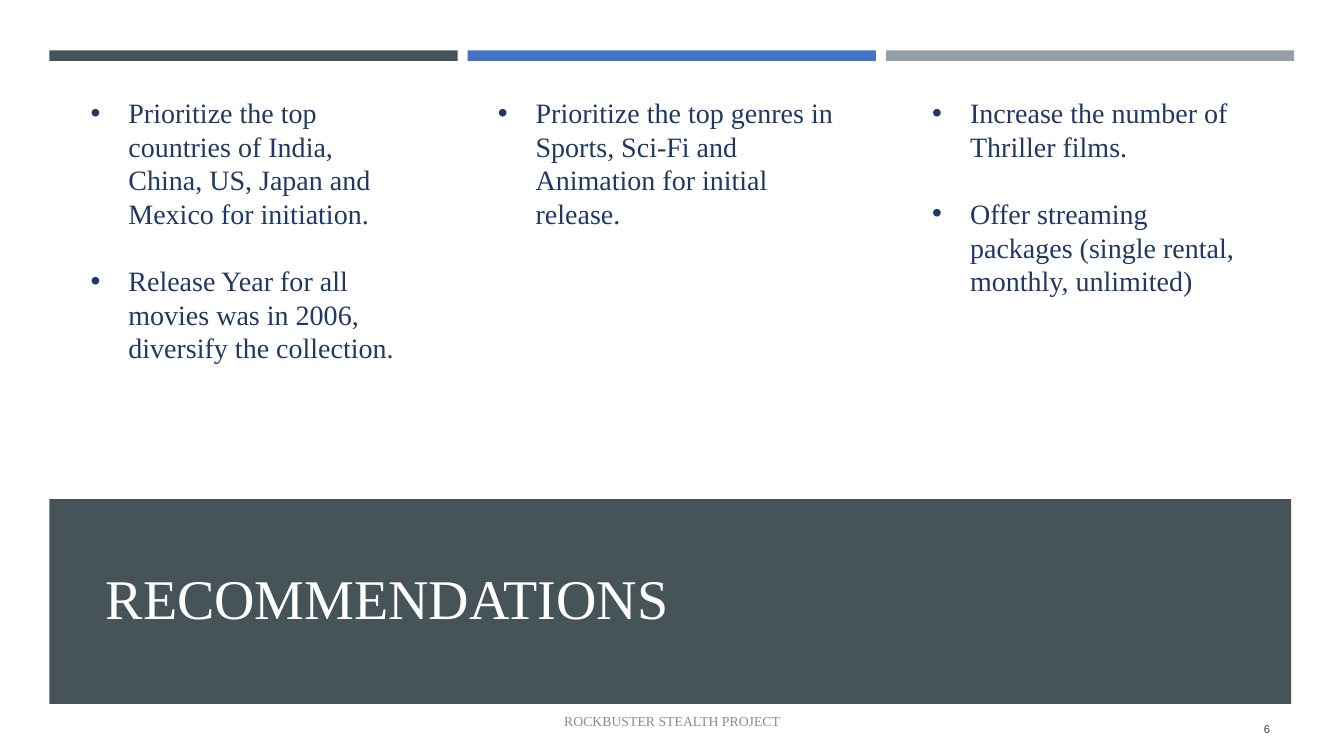
from lxml import etree
from pptx import Presentation
from pptx.dml.color import RGBColor
from pptx.enum.shapes import MSO_SHAPE
from pptx.enum.text import MSO_ANCHOR, PP_ALIGN
from pptx.oxml.ns import qn
from pptx.util import Pt

RECTANGLE = MSO_SHAPE.RECTANGLE
TOP, MIDDLE = MSO_ANCHOR.TOP, MSO_ANCHOR.MIDDLE
LEFT, CENTER, RIGHT = PP_ALIGN.LEFT, PP_ALIGN.CENTER, PP_ALIGN.RIGHT

WHITE = RGBColor(0xFF, 0xFF, 0xFF)
SLATE = RGBColor(0x46, 0x53, 0x59)
BLUE = RGBColor(0x44, 0x72, 0xC4)
SILVER = RGBColor(0x96, 0x9F, 0xA7)
NAVY = RGBColor(0x20, 0x38, 0x64)
CHARCOAL = RGBColor(0x40, 0x40, 0x40)
GRAY = RGBColor(0x8C, 0x8C, 0x8C)

SERIF, SANS = "Times New Roman", "Arial"
MARGIN = 35.3
BAR_WIDTH, BAR_STEP = 291.6, 298.8
BULLET_INDENT = 27
BULLET_GAP = 24

# Left, width, height and bullet texts of each column
COLUMNS = [
    (57.6, 241.2, 225.4, [
        "Prioritize the top countries of India, China, US, Japan and Mexico for initiation.",
        "Release Year for all movies was in 2006, diversify the collection.",
    ]),
    (348.5, 265.7, 104.4, [
        "Prioritize the top genres in Sports, Sci-Fi and Animation for initial release.",
    ]),
    (658.8, 244.1, 177.1, [
        "Increase the number of Thriller films.",
        "Offer streaming packages (single rental, monthly, unlimited)",
    ]),
]


def add_block(slide, left, top, width, height, color):
    block = slide.shapes.add_shape(RECTANGLE, Pt(left), Pt(top), Pt(width), Pt(height))
    block.shadow.inherit = False
    block.fill.solid()
    block.fill.fore_color.rgb = color
    block.line.fill.background()


def add_run(paragraph, text, size, color, font=SERIF):
    run = paragraph.add_run()
    run.text = text
    run.font.size = Pt(size)
    run.font.name = font
    run.font.color.rgb = color


def add_text_frame(slide, left, top, width, height, anchor=TOP):
    box = slide.shapes.add_textbox(Pt(left), Pt(top), Pt(width), Pt(height))
    frame = box.text_frame
    frame.word_wrap = True
    frame.vertical_anchor = anchor
    return frame


def set_bullet(paragraph):
    properties = paragraph._p.get_or_add_pPr()
    properties.set("marL", str(Pt(BULLET_INDENT)))
    properties.set("indent", str(-Pt(BULLET_INDENT)))
    etree.SubElement(properties, qn("a:buFont"), typeface=SANS)
    etree.SubElement(properties, qn("a:buChar"), char="•")


def add_column(slide, left, width, height, recommendations):
    frame = add_text_frame(slide, left, 64.8, width, height)
    for index, recommendation in enumerate(recommendations):
        paragraph = frame.add_paragraph() if index else frame.paragraphs[0]
        paragraph.alignment = LEFT
        if index:
            paragraph.space_before = Pt(BULLET_GAP)
        set_bullet(paragraph)
        add_run(paragraph, recommendation, 20, NAVY)


def add_footer(slide, left, top, width, text, size, color, font, alignment):
    paragraph = add_text_frame(slide, left, top, width, 28.8, MIDDLE).paragraphs[0]
    paragraph.alignment = alignment
    add_run(paragraph, text, size, color, font)


def format_title(slide, text):
    title = slide.shapes.title
    title.left, title.top, title.width, title.height = Pt(68.4), Pt(370.8), Pt(846), Pt(118.1)
    title.text_frame.word_wrap = True
    title.text_frame.vertical_anchor = MIDDLE
    paragraph = title.text_frame.paragraphs[0]
    paragraph.alignment = LEFT
    paragraph.line_spacing = 0.9
    add_run(paragraph, text, 40, WHITE)
    # Bring the title in front of its band
    slide.shapes._spTree.append(title._element)


def main():
    deck = Presentation()
    deck.slide_width, deck.slide_height = Pt(960), Pt(540)
    title_only = deck.slide_layouts[5]
    slide = deck.slides.add_slide(title_only)
    slide.background.fill.solid()
    slide.background.fill.fore_color.rgb = WHITE

    # Bars along the top
    for index, color in enumerate((SLATE, BLUE, SILVER)):
        add_block(slide, MARGIN + index * BAR_STEP, 36, BAR_WIDTH, 7.5, color)

    # Title band
    add_block(slide, MARGIN, 356.6, 887, 146.2, SLATE)
    format_title(slide, "RECOMMENDATIONS")

    # Recommendation columns
    for column in COLUMNS:
        add_column(slide, *column)

    # Slide number and project name
    add_footer(slide, 831.6, 506.2, 82.8, "6", 8, CHARCOAL, SANS, RIGHT)
    add_footer(slide, 318.2, 500.4, 324, "ROCKBUSTER STEALTH PROJECT", 9.8, GRAY, SERIF, CENTER)

    deck.save("out.pptx")


if __name__ == "__main__":
    main()
